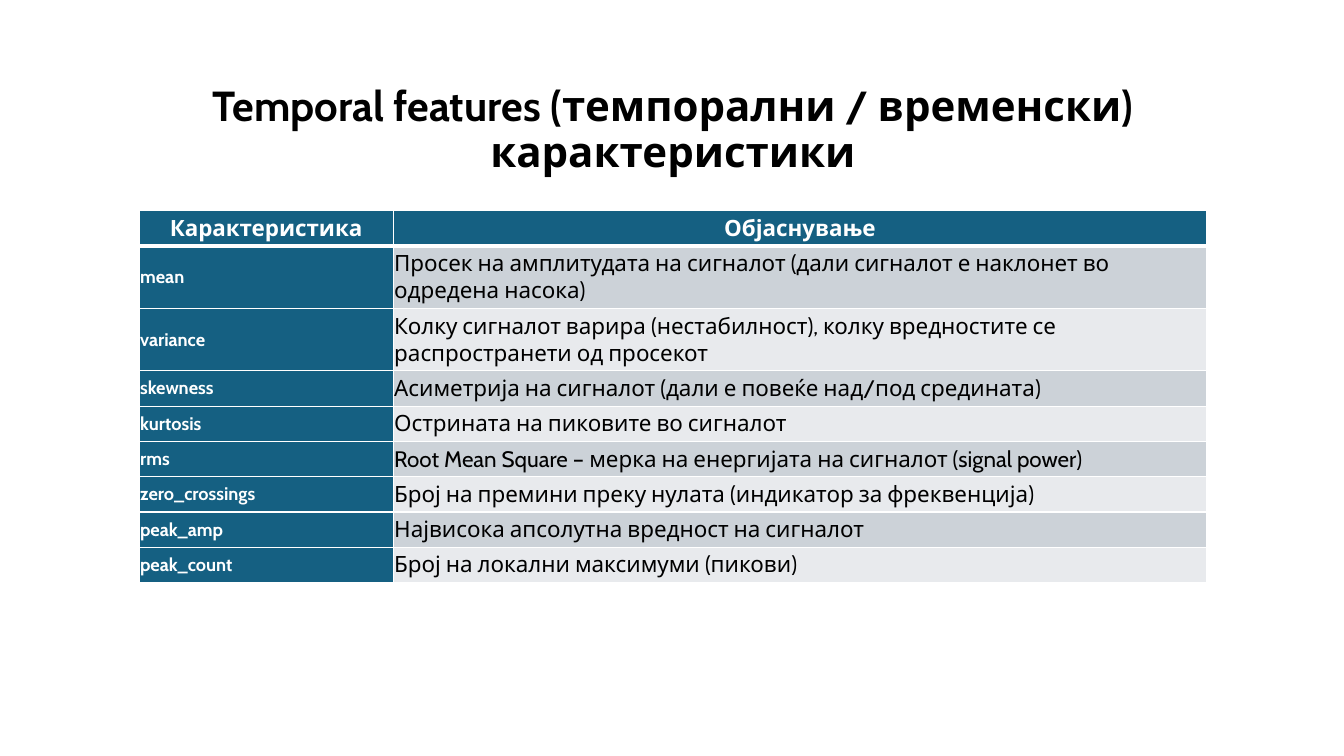
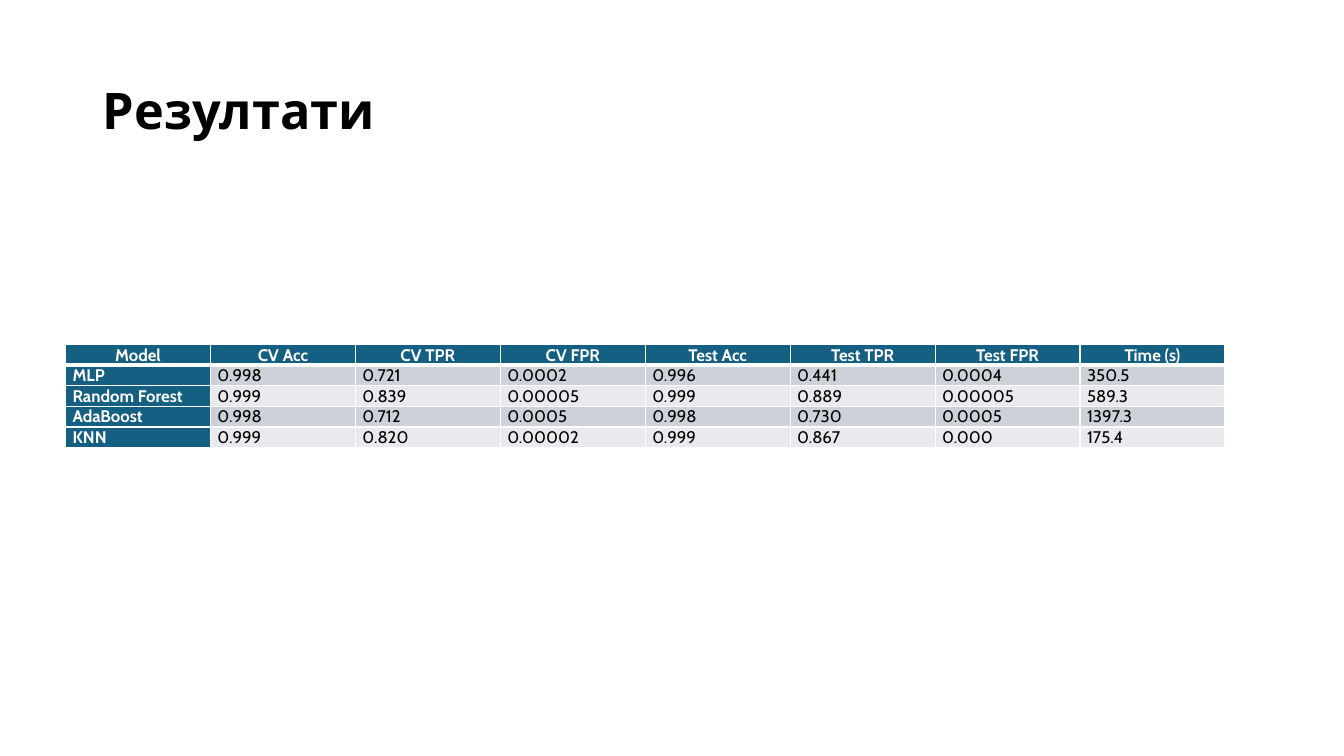
import dataclasses
import lxml.etree
import pptx
import pptx.dml.color
import pptx.enum.text
import pptx.oxml.ns
import pptx.util

Inches = pptx.util.Inches
Pt = pptx.util.Pt
RGB = pptx.dml.color.RGBColor.from_string
ALIGN = pptx.enum.text.PP_ALIGN
ANCHOR = pptx.enum.text.MSO_ANCHOR
qn = pptx.oxml.ns.qn


@dataclasses.dataclass(frozen=True)
class Theme:
    font: str = "Cabin"
    text: str = "000000"
    white: str = "FFFFFF"
    head: str = "156082"
    bands: tuple = ("CCD2D8", "E8EAED")
    feature_title: int = 30
    feature_text: int = 16
    feature_name: int = 13
    results_title: int = 36
    results_text: int = 12
    border: int = 1
    head_border: int = 3


theme = Theme()


def add_title(s, text, box, size, align, anchor):
    sp = s.shapes.title
    sp.left, sp.top, sp.width, sp.height = [Inches(v) for v in box]
    tf = sp.text_frame
    tf.text = text
    tf.word_wrap = True
    tf.auto_size = pptx.enum.text.MSO_AUTO_SIZE.NONE
    tf.vertical_anchor = anchor
    p = tf.paragraphs[0]
    p.alignment = align
    p.line_spacing = 0.9
    p.font.name = theme.font
    p.font.size = Pt(size)
    p.font.bold = True
    p.font.color.rgb = RGB(theme.text)


def add_grid(s, rows, left, top, widths, heights, inset, anchor, size, name_size):
    frame = s.shapes.add_table(len(rows), len(widths), Inches(left), Inches(top),
                               Inches(sum(widths)), Inches(sum(heights)))
    table = frame.table
    table.first_col = True
    table.horz_banding = False
    for column, width in zip(table.columns, widths):
        column.width = Inches(width)
    for i, (row, height) in enumerate(zip(rows, heights)):
        table.rows[i].height = Inches(height)
        for j, text in enumerate(row):
            cell = table.cell(i, j)
            cell.text = text
            cell.vertical_anchor = anchor
            cell.margin_left = cell.margin_right = Inches(inset[0])
            cell.margin_top = cell.margin_bottom = Inches(inset[1])

            tcPr = cell._tc.get_or_add_tcPr()
            for side in "LRTB":
                under_head = (i, side) in ((0, "B"), (1, "T"))
                width = theme.head_border if under_head else theme.border
                ln = lxml.etree.SubElement(tcPr, qn("a:ln" + side), w=str(Pt(width)))
                fill = lxml.etree.SubElement(ln, qn("a:solidFill"))
                lxml.etree.SubElement(fill, qn("a:srgbClr"), val=theme.white)

            is_head = i == 0 or j == 0
            cell.fill.solid()
            cell.fill.fore_color.rgb = RGB(theme.head if is_head else theme.bands[(i - 1) % 2])
            p = cell.text_frame.paragraphs[0]
            p.alignment = ALIGN.CENTER if i == 0 else ALIGN.LEFT
            p.font.name = theme.font
            p.font.size = Pt(name_size if i and j == 0 else size)
            p.font.bold = is_head
            p.font.color.rgb = RGB(theme.white if is_head else theme.text)


prs = pptx.Presentation()
prs.slide_width = Inches(13.33)
prs.slide_height = Inches(7.5)
title_only = prs.slide_layouts[5]

features = [
    ("Карактеристика", "Објаснување"),
    ("mean", "Просек на амплитудата на сигналот (дали сигналот е наклонет во одредена насока)"),
    ("variance", "Колку сигналот варира (нестабилност), колку вредностите се распространети од просекот"),
    ("skewness", "Асиметрија на сигналот (дали е повеќе над/под средината)"),
    ("kurtosis", "Острината на пиковите во сигналот"),
    ("rms", "Root Mean Square – мерка на енергијата на сигналот (signal power)"),
    ("zero_crossings", "Број на премини преку нулата (индикатор за фреквенција)"),
    ("peak_amp", "Највисока апсолутна вредност на сигналот"),
    ("peak_count", "Број на локални максимуми (пикови)"),
]
s = prs.slides.add_slide(title_only)
add_title(s, "Temporal features (темпорални / временски) карактеристики",
          (1.51, 0.8, 10.33, 1.04), theme.feature_title, ALIGN.CENTER, ANCHOR.TOP)
add_grid(s, features, 1.38, 2.09, [2.52, 8.07], [0.35] + [0.62] * 2 + [0.35] * 6,
         (0.01, 0.01), ANCHOR.MIDDLE, theme.feature_text, theme.feature_name)

results = [
    ("Model", "CV Acc", "CV TPR", "CV FPR", "Test Acc", "Test TPR", "Test FPR", "Time (s)"),
    ("MLP", "0.998", "0.721", "0.0002", "0.996", "0.441", "0.0004", "350.5"),
    ("Random Forest", "0.999", "0.839", "0.00005", "0.999", "0.889", "0.00005", "589.3"),
    ("AdaBoost", "0.998", "0.712", "0.0005", "0.998", "0.730", "0.0005", "1397.3"),
    ("KNN", "0.999", "0.820", "0.00002", "0.999", "0.867", "0.000", "175.4"),
]
s = prs.slides.add_slide(title_only)
add_title(s, "Резултати", (0.92, 0.4, 11.5, 1.45), theme.results_title, ALIGN.LEFT, ANCHOR.MIDDLE)
add_grid(s, results, 0.65, 3.42, [11.5 / 8] * 8, [0.2] * 5,
         (0.07, 0), ANCHOR.TOP, theme.results_text, theme.results_text)

prs.save("out.pptx")
